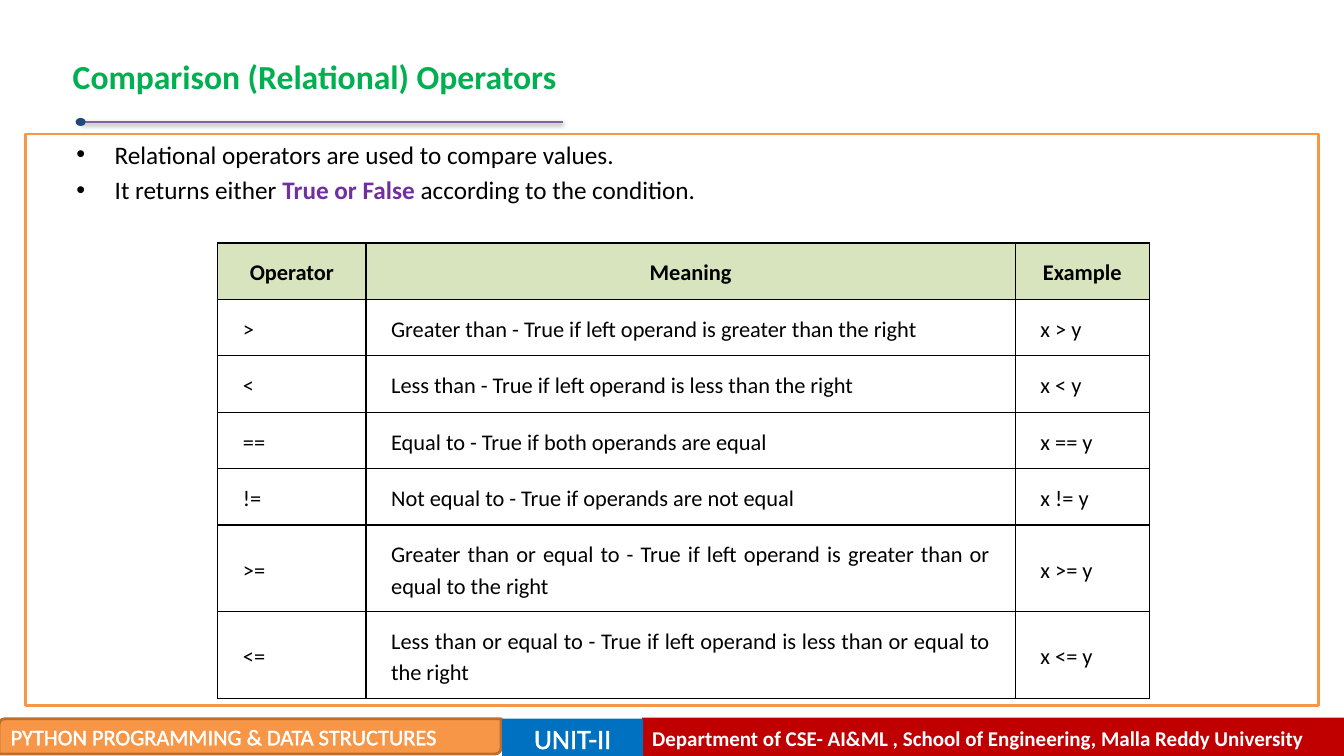
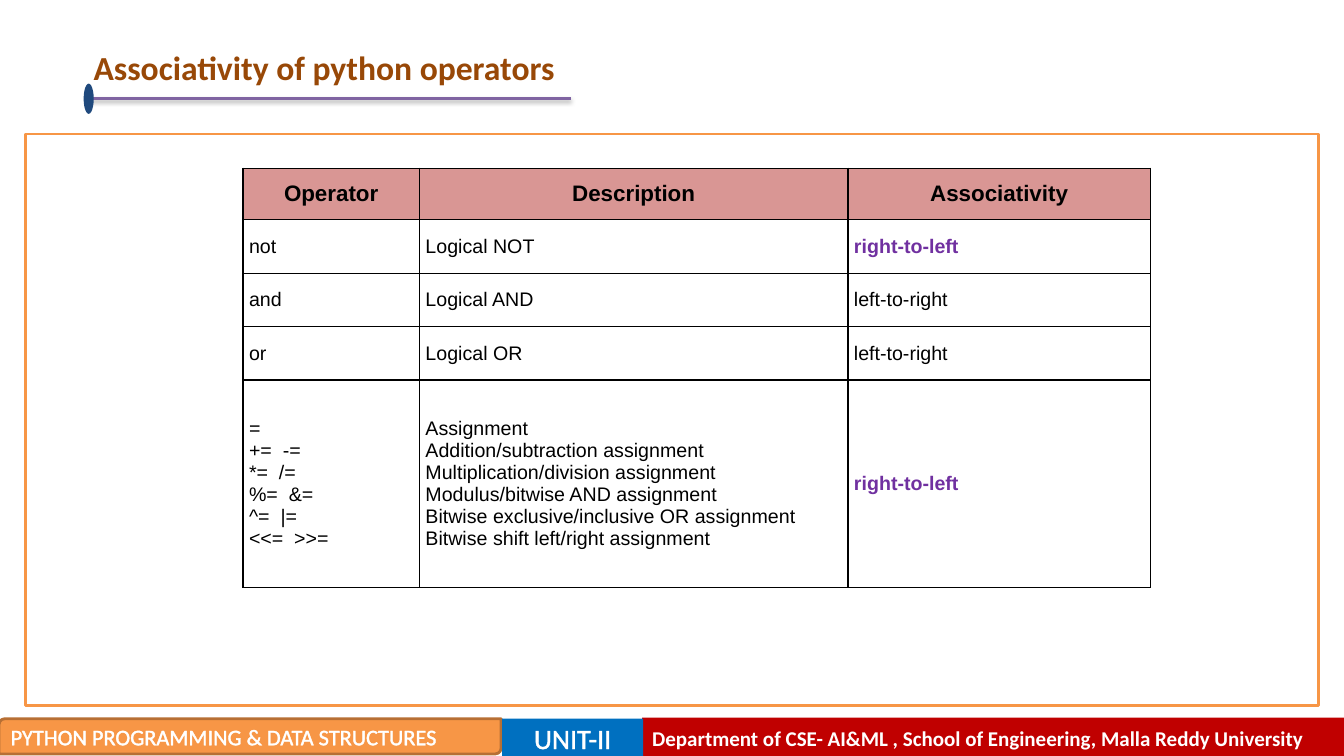
from dataclasses import dataclass

from lxml.etree import SubElement
from pptx import Presentation
from pptx.dml.color import RGBColor
from pptx.enum.shapes import MSO_CONNECTOR as Connector, MSO_SHAPE as Preset
from pptx.enum.text import MSO_ANCHOR as Anchor, PP_ALIGN as Align
from pptx.oxml import parse_xml
from pptx.oxml.ns import nsdecls, qn
from pptx.util import Pt

PX = 9144  # EMU per px, 100 px to the inch


@dataclass(frozen=True)
class Theme:
    text: str = "000000"
    white: str = "FFFFFF"
    emphasis: str = "7030A0"
    orange: str = "F79646"
    orange_dark: str = "B76F34"
    blue: str = "0070C0"
    red: str = "C00000"
    rule: str = "8064A2"
    dot: str = "1F497D"
    font: str = "Calibri"
    table_font: str = "Arial"
    title_size: int = 24
    unit_size: int = 20
    body_size: int = 18
    header_size: int = 16
    department_size: int = 15
    small_size: int = 14


THEME = Theme()
SIZE = (1333, 750)
FRAME = (25, 133, 1283, 567)

# Text between double asterisks is emphasised.
FOOTER = [
    dict(text="Department of CSE- AI&ML , School of Engineering, Malla Reddy University",
         box=(637, 712, 696, 40), preset=Preset.RECTANGLE, fill=THEME.red, line=None,
         style=dict(size=THEME.department_size, bold=True)),
    dict(text="PYTHON PROGRAMMING & DATA STRUCTURES",
         box=(-1, 713, 498, 35), preset=Preset.ROUND_2_DIAG_RECTANGLE,
         fill=THEME.orange, line=THEME.orange_dark,
         style=dict(size=THEME.header_size, outlined=True)),
    dict(text="UNIT-II", box=(498, 713, 140, 38), preset=Preset.RECTANGLE,
         fill=THEME.blue, line=None,
         style=dict(size=THEME.unit_size, align=Align.CENTER, outlined=True)),
]

COMPARISON = dict(
    title=dict(text="Comparison (Relational) Operators", box=(33, 42, 558, 67),
               colour="00B050", align=Align.CENTER),
    rule=dict(start=81, end=558, y=121, dot=(75, 117, 10, 8)),
    bullets="Relational operators are used to compare values.\n"
            "It returns either **True or False** according to the condition.",
    table=dict(
        left=216, top=241, columns=[147, 644, 133], rows=[56] * 5 + [86] * 2,
        fill="D7E4BD", header_margins=(25, 12, 25, 12), margins=(25, 12, 25, 12),
        style=dict(font=THEME.font, line_spacing=1.15),
        body_style=dict(size=THEME.header_size, align=Align.JUSTIFY),
        cells=[
            ("Operator", "Meaning", "Example"),
            (">", "Greater than - True if left operand is greater than the right", "x > y"),
            ("<", "Less than - True if left operand is less than the right", "x < y"),
            ("==", "Equal to - True if both operands are equal", "x == y"),
            ("!=", "Not equal to - True if operands are not equal", "x != y"),
            (">=", "Greater than or equal to - True if left operand is greater than "
                   "or equal to the right", "x >= y"),
            ("<=", "Less than or equal to - True if left operand is less than "
                   "or equal to the right", "x <= y"),
        ]),
)

ASSOCIATIVITY = dict(
    title=dict(text="Associativity of python operators", box=(83, 33, 558, 67),
               colour="984807", align=Align.LEFT),
    rule=dict(start=89, end=566, y=98, dot=(83, 83, 10, 30)),
    bullets=None,
    table=dict(
        left=241, top=167, columns=[175, 425, 300], rows=[51, 53, 53, 53, 206],
        fill="D99694", header_margins=(6, 6, 6, 6), margins=(6, 9, 6, 9),
        style=dict(font=THEME.table_font),
        body_style=dict(size=THEME.small_size, align=Align.LEFT),
        cells=[
            ("Operator", "Description", "Associativity"),
            ("not", "Logical NOT", "**right-to-left**"),
            ("and", "Logical AND", "left-to-right"),
            ("or", "Logical OR", "left-to-right"),
            ("=\n+=  -=\n*=  /=\n%=  &=\n^=  |=\n<<=  >>=",
             "Assignment\nAddition/subtraction assignment\n"
             "Multiplication/division assignment\nModulus/bitwise AND assignment\n"
             "Bitwise exclusive/inclusive OR assignment\nBitwise shift left/right assignment",
             "**right-to-left**"),
        ]),
)


def px(*lengths):
    return [length * PX for length in lengths]


def rgb(colour):
    return RGBColor.from_string(colour)


def add_bullet(paragraph, indent=38):
    properties = paragraph._p.get_or_add_pPr()
    properties.set("marL", str(indent * PX))
    properties.set("indent", str(-indent * PX))
    SubElement(properties, qn("a:buFont")).set("typeface", "Arial")
    SubElement(properties, qn("a:buChar")).set("char", "•")


def outline_run(run, colour, width=1.45):
    run._r.get_or_add_rPr().insert(0, parse_xml(
        f'<a:ln {nsdecls("a")} w="{int(Pt(width))}"><a:solidFill>'
        f'<a:srgbClr val="{colour}"/></a:solidFill></a:ln>'))


def write(frame, text, *, size, colour=THEME.text, font=THEME.font, bold=False,
          align=Align.LEFT, line_spacing=None, space_before=0, bullet=False,
          outlined=False):
    """Fill a text frame, one paragraph per line of text."""
    for number, line in enumerate(text.split("\n")):
        paragraph = frame.add_paragraph() if number else frame.paragraphs[0]
        paragraph.alignment = align
        if bullet:
            add_bullet(paragraph)
        if line_spacing:
            paragraph.line_spacing = line_spacing
        if number and space_before:
            paragraph.space_before = Pt(space_before)
        for part, words in enumerate(line.split("**")):
            if not words:
                continue
            emphasised = part % 2 == 1
            run = paragraph.add_run()
            run.text = words
            run.font.size = Pt(size)
            run.font.name = font
            run.font.bold = bold or emphasised
            run.font.color.rgb = rgb(THEME.emphasis if emphasised else colour)
            if outlined:
                outline_run(run, colour)


def add_shape(slide, preset, box, fill=None, line=None):
    shape = slide.shapes.add_shape(preset, *px(*box))
    shape.shadow.inherit = False
    if fill:
        shape.fill.solid()
        shape.fill.fore_color.rgb = rgb(fill)
    else:
        shape.fill.background()
    if line:
        shape.line.color.rgb = rgb(line)
        shape.line.width = Pt(2)
    else:
        shape.line.fill.background()
    return shape


def add_text(slide, box, text, anchor=Anchor.TOP, **style):
    frame = slide.shapes.add_textbox(*px(*box)).text_frame
    frame.word_wrap = True
    frame.vertical_anchor = anchor
    write(frame, text, **style)


def add_footer(slide):
    for band in FOOTER:
        shape = add_shape(slide, band["preset"], band["box"], band["fill"], band["line"])
        shape.text_frame.vertical_anchor = Anchor.MIDDLE
        write(shape.text_frame, band["text"], colour=THEME.white, **band["style"])


def add_title_rule(slide, start, end, y, dot):
    """Draw the shadowed line under the title and the dot at its left end."""
    line = slide.shapes.add_connector(Connector.STRAIGHT, *px(start, y, end, y))
    line.line.color.rgb = rgb(THEME.rule)
    line.line.width = Pt(2)
    line._element.spPr.append(parse_xml(
        f'<a:effectLst {nsdecls("a")}><a:outerShdw blurRad="{int(Pt(3.1))}" '
        f'dist="{int(Pt(1.6))}" dir="5400000" rotWithShape="0"><a:srgbClr val="000000">'
        '<a:alpha val="38000"/></a:srgbClr></a:outerShdw></a:effectLst>'))
    add_shape(slide, Preset.OVAL, dot, THEME.dot)


def add_borders(cell):
    properties = cell._tc.get_or_add_tcPr()
    for side in ("lnL", "lnR", "lnT", "lnB"):
        properties.append(parse_xml(
            f'<a:{side} {nsdecls("a")} w="{int(Pt(1))}"><a:solidFill>'
            f'<a:srgbClr val="{THEME.text}"/></a:solidFill></a:{side}>'))


def add_table(slide, left, top, columns, rows, fill, header_margins, margins,
              style, body_style, cells):
    box = px(left, top, sum(columns), sum(rows))
    table = slide.shapes.add_table(len(rows), len(columns), *box).table
    table.first_row = table.horz_banding = False
    for column, width in zip(table.columns, px(*columns)):
        column.width = width
    header_style = dict(size=THEME.header_size, bold=True, align=Align.CENTER)
    for row_number, (row, height, texts) in enumerate(zip(table.rows, px(*rows), cells)):
        row.height = height
        is_header = row_number == 0
        for cell, text in zip(row.cells, texts):
            sides = px(*(header_margins if is_header else margins))
            cell.margin_left, cell.margin_top, cell.margin_right, cell.margin_bottom = sides
            cell.vertical_anchor = Anchor.MIDDLE
            add_borders(cell)
            if is_header:
                cell.fill.solid()
                cell.fill.fore_color.rgb = rgb(fill)
            else:
                cell.fill.background()
            write(cell.text_frame, text, **style,
                  **(header_style if is_header else body_style))


def add_content_slide(presentation, content):
    slide = presentation.slides.add_slide(presentation.slide_layouts[6])
    add_footer(slide)
    add_text(slide, anchor=Anchor.MIDDLE, size=THEME.title_size, bold=True,
             **content["title"])
    add_title_rule(slide, **content["rule"])
    add_shape(slide, Preset.RECTANGLE, FRAME, line=THEME.orange)
    if content["bullets"]:
        add_text(slide, (66, 133, 1200, 567), content["bullets"],
                 size=THEME.body_size, bullet=True, space_before=3.6)
    add_table(slide, **content["table"])


def main():
    presentation = Presentation()
    presentation.slide_width, presentation.slide_height = px(*SIZE)
    for content in (COMPARISON, ASSOCIATIVITY):
        add_content_slide(presentation, content)
    presentation.save("out.pptx")


if __name__ == "__main__":
    main()
